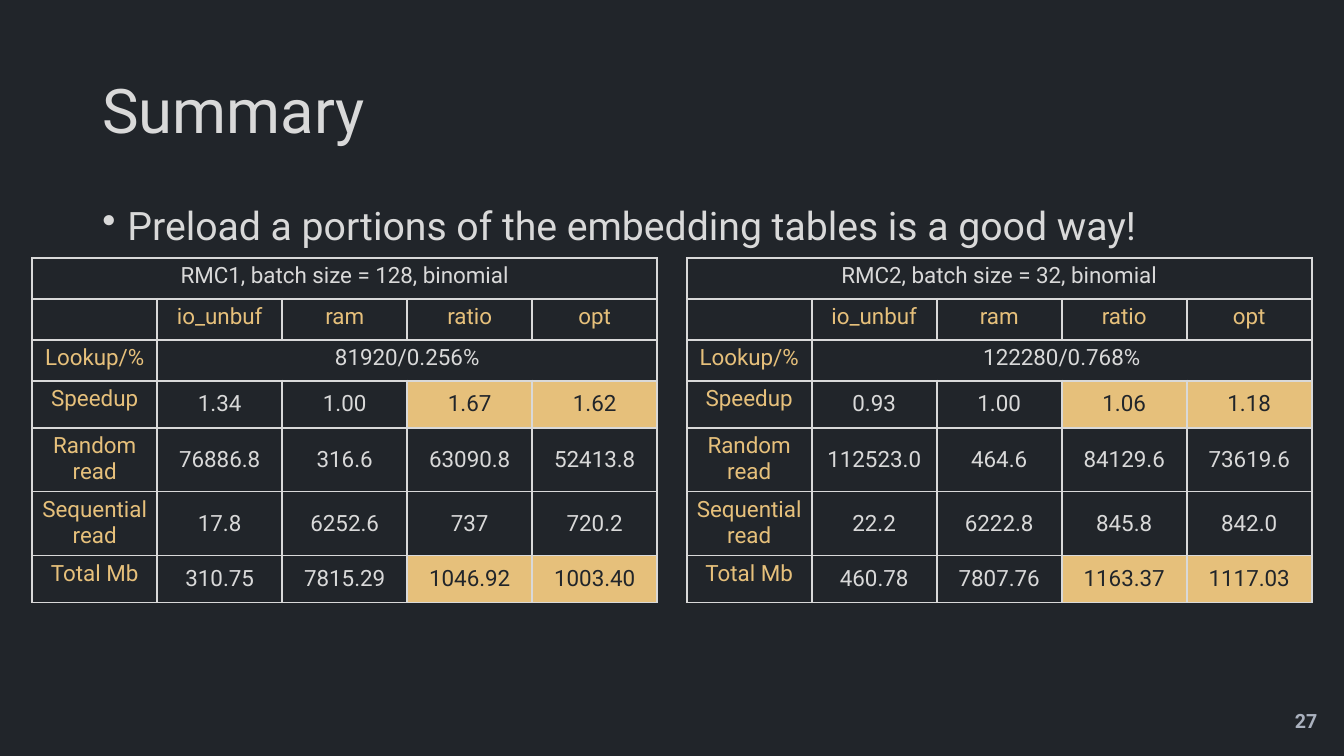
import lxml.etree
import pptx
import pptx.dml.color
import pptx.enum.text
import pptx.oxml
import pptx.oxml.ns
import pptx.util

Pt = pptx.util.Pt
ALIGN = pptx.enum.text.PP_ALIGN
ANCHOR = pptx.enum.text.MSO_ANCHOR

FONT = "Roboto"
DARK, LIGHT, GOLD, GREY = "21252A", "D9D9D9", "E6C07B", "ABB2BF"

COL_WIDTH, ROW_HEIGHT = 89.3, 29.2
TABLE_TOP = 184.3
HEADINGS = ["", "io_unbuf", "ram", "ratio", "opt"]
HIGHLIGHT_ROWS = ("Speedup", "Total Mb")
HIGHLIGHT_COLS = ("ratio", "opt")

RMC1 = {
    "title": "RMC1, batch size = 128, binomial",
    "lookup": "81920/0.256%",
    "results": [
        ["Speedup", "1.34", "1.00", "1.67", "1.62"],
        ["Random read", "76886.8", "316.6", "63090.8", "52413.8"],
        ["Sequential read", "17.8", "6252.6", "737", "720.2"],
        ["Total Mb", "310.75", "7815.29", "1046.92", "1003.40"],
    ],
}
RMC2 = {
    "title": "RMC2, batch size = 32, binomial",
    "lookup": "122280/0.768%",
    "results": [
        ["Speedup", "0.93", "1.00", "1.06", "1.18"],
        ["Random read", "112523.0", "464.6", "84129.6", "73619.6"],
        ["Sequential read", "22.2", "6222.8", "845.8", "842.0"],
        ["Total Mb", "460.78", "7807.76", "1163.37", "1117.03"],
    ],
}


def rgb(color):
    return pptx.dml.color.RGBColor.from_string(color)


def set_font(p, size, color, bold=False):
    p.font.name = FONT
    p.font.size = Pt(size)
    p.font.bold = bold
    p.font.color.rgb = rgb(color)


def add_text(slide, box, text, size, color, anchor=ANCHOR.TOP, bold=False):
    """Add a one-paragraph text box and return its paragraph."""
    tf = slide.shapes.add_textbox(*map(Pt, box)).text_frame
    tf.word_wrap = True
    tf.vertical_anchor = anchor
    p = tf.paragraphs[0]
    p.text = text
    set_font(p, size, color, bold)
    return p


def add_bullet(p, indent):
    pPr = p._p.get_or_add_pPr()
    pPr.set("marL", str(Pt(indent)))
    pPr.set("indent", str(-Pt(indent)))
    bullet = pptx.oxml.parse_xml(
        f'<a:buChar {pptx.oxml.ns.nsdecls("a")} char="•"/>')
    pPr.find(pptx.oxml.ns.qn("a:defRPr")).addprevious(bullet)


def set_borders(cell, color, width):
    tcPr = cell._tc.get_or_add_tcPr()
    qn = pptx.oxml.ns.qn
    for side in ("lnL", "lnR", "lnT", "lnB"):
        ln = lxml.etree.SubElement(tcPr, qn(f"a:{side}"), w=str(Pt(width)))
        fill = lxml.etree.SubElement(ln, qn("a:solidFill"))
        lxml.etree.SubElement(fill, qn("a:srgbClr"), val=color)


def fill_cell(cell, text, color, fill=None):
    p = cell.text_frame.paragraphs[0]
    p.text = text
    p.alignment = ALIGN.CENTER
    set_font(p, 16, color)
    set_borders(cell, LIGHT, 1.5)
    if fill:
        cell.fill.solid()
        cell.fill.fore_color.rgb = rgb(fill)
    else:
        cell.fill.background()


def centre_value(cell):
    cell.vertical_anchor = ANCHOR.MIDDLE
    cell.margin_left = cell.margin_right = Pt(2.2)
    cell.margin_top = cell.margin_bottom = Pt(7.2)


def add_results_table(slide, left, model):
    rows = [
        [model["title"], "", "", "", ""],
        HEADINGS,
        ["Lookup/%", model["lookup"], "", "", ""],
        *model["results"],
    ]
    first_result = len(rows) - len(model["results"])
    table = slide.shapes.add_table(
        len(rows), len(HEADINGS), Pt(left), Pt(TABLE_TOP),
        Pt(COL_WIDTH * len(HEADINGS)), Pt(ROW_HEIGHT * len(rows))).table
    table.first_row = table.horz_banding = False
    for col in table.columns:
        col.width = Pt(COL_WIDTH)
    for row in table.rows:
        row.height = Pt(ROW_HEIGHT)

    for i, values in enumerate(rows):
        for j, text in enumerate(values):
            cell = table.cell(i, j)
            if values[0] in HIGHLIGHT_ROWS and HEADINGS[j] in HIGHLIGHT_COLS:
                fill_cell(cell, text, DARK, GOLD)
            else:
                is_label = i == 1 or (j == 0 and i > 0)
                fill_cell(cell, text, GOLD if is_label else LIGHT)
            if i >= first_result and j > 0:
                centre_value(cell)
    table.cell(0, 0).merge(table.cell(0, 4))
    table.cell(2, 1).merge(table.cell(2, 4))


def main():
    prs = pptx.Presentation()
    prs.slide_width, prs.slide_height = Pt(960), Pt(540)
    slide = prs.slides.add_slide(prs.slide_layouts[6])
    slide.background.fill.solid()
    slide.background.fill.fore_color.rgb = rgb(DARK)

    title = add_text(slide, (66, 28.8, 828, 104.4), "Summary", 44, LIGHT,
                     ANCHOR.MIDDLE)
    title.line_spacing = 0.9
    number = add_text(slide, (678, 500.5, 270, 28.8), "27", 14, GREY,
                      ANCHOR.MIDDLE, bold=True)
    number.alignment = ALIGN.RIGHT
    message = add_text(
        slide, (66, 143.8, 828, 342.6),
        "Preload a portions of the embedding tables is a good way!", 28, LIGHT)
    add_bullet(message, 18)
    message.line_spacing = 0.9
    message.space_before = Pt(10)

    for left, model in ((23, RMC1), (490.5, RMC2)):
        add_results_table(slide, left, model)
    prs.save("out.pptx")


if __name__ == "__main__":
    main()
